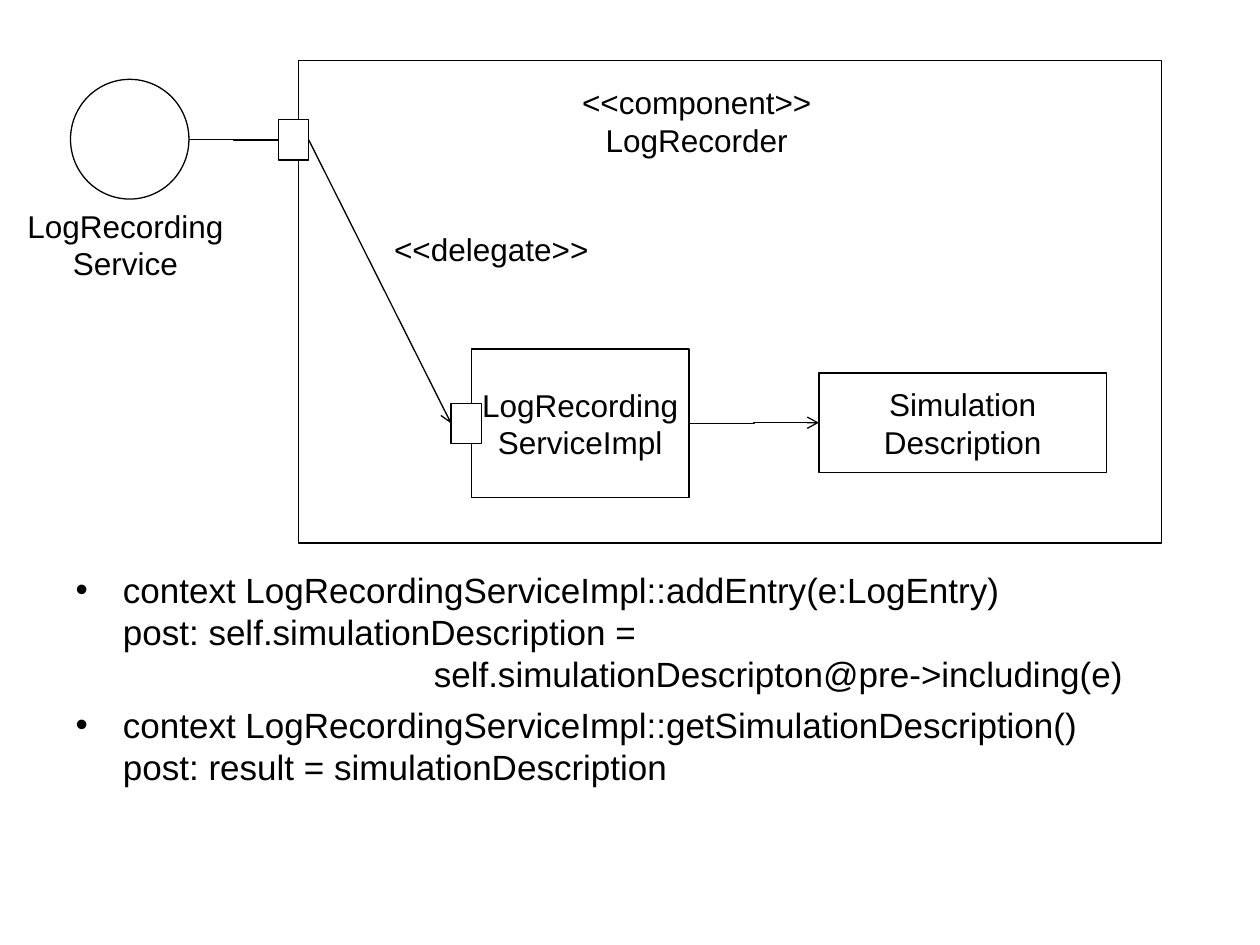
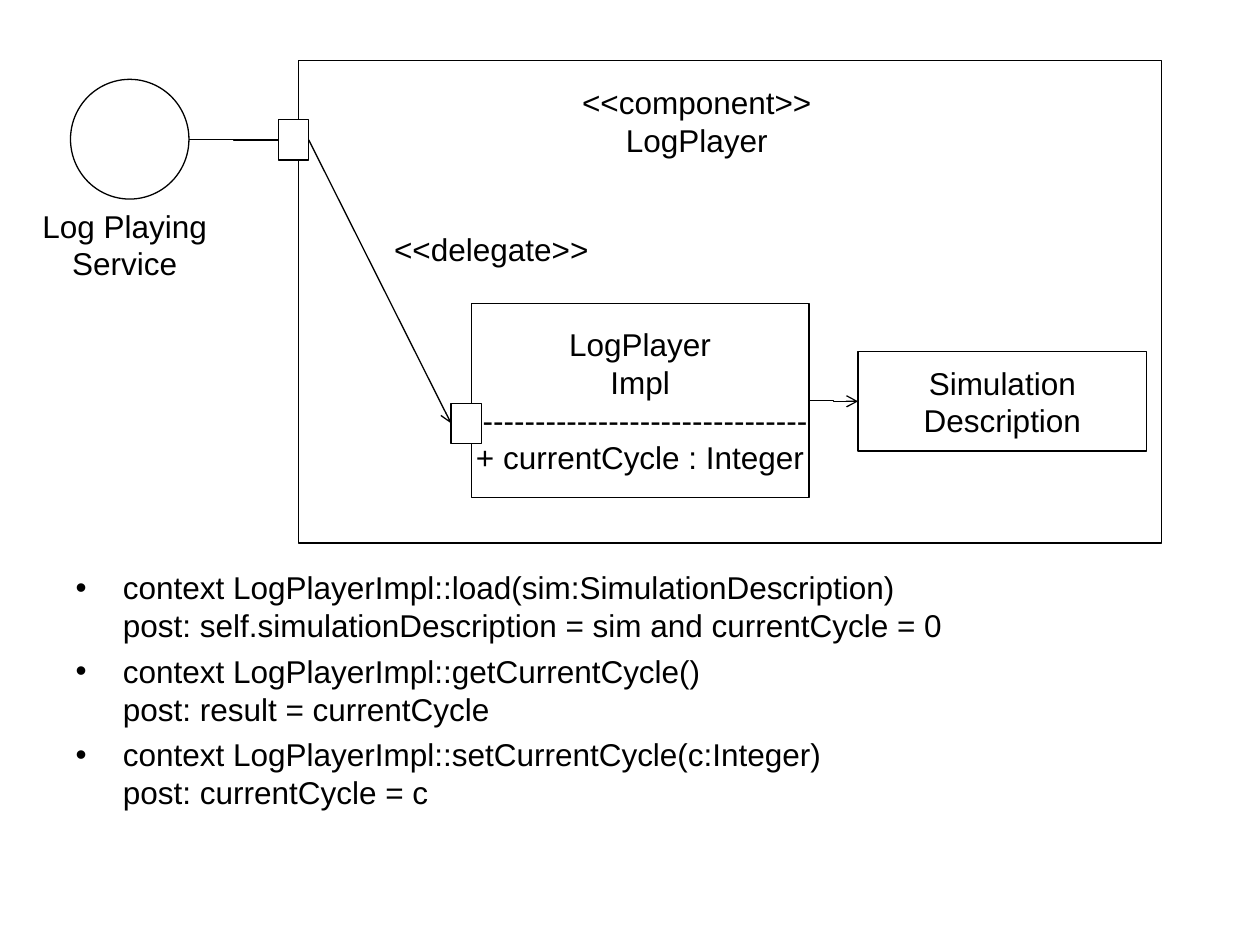
from copy import deepcopy
from dataclasses import dataclass

from lxml import etree
from pptx import Presentation
from pptx.dml.color import RGBColor
from pptx.enum.shapes import MSO_CONNECTOR, MSO_SHAPE
from pptx.enum.text import MSO_ANCHOR, MSO_AUTO_SIZE, PP_ALIGN
from pptx.oxml.ns import qn
from pptx.util import Inches, Pt

RECTANGLE, OVAL = MSO_SHAPE.RECTANGLE, MSO_SHAPE.OVAL
STRAIGHT, ELBOW = MSO_CONNECTOR.STRAIGHT, MSO_CONNECTOR.ELBOW
CENTER, LEFT = PP_ALIGN.CENTER, PP_ALIGN.LEFT
TOP, MIDDLE = MSO_ANCHOR.TOP, MSO_ANCHOR.MIDDLE
NO_AUTOFIT = MSO_AUTO_SIZE.NONE

FONT = "Arial"
BLACK, WHITE = "000000", "FFFFFF"
LABEL_SIZE = 18
LINE_WIDTH = 0.75


@dataclass(frozen=True)
class Area:
    """A rectangle on the slide, in inches."""
    left: float
    top: float
    width: float
    height: float

    def lengths(self) -> tuple:
        return tuple(Inches(n) for n in (self.left, self.top, self.width, self.height))

    def left_middle(self) -> tuple:
        return self.left, self.top + self.height / 2

    def right_middle(self) -> tuple:
        return self.left + self.width, self.top + self.height / 2


@dataclass(frozen=True)
class ComponentSlide:
    """What differs between the component diagrams."""
    component: str
    service: str
    service_label: Area
    implementation: str
    implementation_area: Area
    description_area: Area
    constraints: tuple
    constraint_size: int


FRAME = Area(2.37, 0.48, 6.85, 3.83)
SERVICE_CIRCLE = Area(0.56, 0.63, 0.94, 0.95)
OUTER_PORT = Area(2.21, 0.95, 0.24, 0.32)
INNER_PORT = Area(3.58, 3.2, 0.24, 0.32)
COMPONENT_LABEL = Area(3.03, 0.61, 5, 0.7)
DELEGATE_LABEL = Area(3.03, 1.78, 1.74, 0.4)
CONSTRAINT_LIST = Area(0.5, 4.46, 9, 2.24)

SLIDES = (
    ComponentSlide(
        component="LogRecorder",
        service="LogRecording\nService",
        service_label=Area(0.12, 1.59, 1.75, 0.7),
        implementation="LogRecording\nServiceImpl",
        implementation_area=Area(3.74, 2.77, 1.73, 1.18),
        description_area=Area(6.5, 2.96, 2.28, 0.79),
        constraints=(
            "context LogRecordingServiceImpl::addEntry(e:LogEntry)\n"
            "post: self.simulationDescription =\n"
            "                                self.simulationDescripton@pre->including(e)",
            "context LogRecordingServiceImpl::getSimulationDescription()\n"
            "post: result = simulationDescription",
        ),
        constraint_size=20,
    ),
    ComponentSlide(
        component="LogPlayer",
        service="Log Playing\nService",
        service_label=Area(0.24, 1.59, 1.5, 0.7),
        implementation="LogPlayer\nImpl\n--------------------------------\n"
                       "+ currentCycle : Integer",
        implementation_area=Area(3.74, 2.41, 2.68, 1.54),
        description_area=Area(6.81, 2.79, 2.29, 0.79),
        constraints=(
            "context LogPlayerImpl::load(sim:SimulationDescription)\n"
            "post: self.simulationDescription = sim and currentCycle = 0",
            "context LogPlayerImpl::getCurrentCycle()\npost: result = currentCycle",
            "context LogPlayerImpl::setCurrentCycle(c:Integer)\npost: currentCycle = c",
        ),
        constraint_size=18,
    ),
)


def color(value: str) -> RGBColor:
    return RGBColor.from_string(value)


def write(frame, paragraphs, *, size=LABEL_SIZE, align=CENTER, anchor=TOP,
          wrap=False, gap=0.0) -> None:
    """Fill a text frame; a newline inside a paragraph is a line break."""
    frame.word_wrap = wrap
    frame.auto_size = NO_AUTOFIT
    frame.vertical_anchor = anchor
    for index, text in enumerate(paragraphs):
        para = frame.add_paragraph() if index else frame.paragraphs[0]
        para.text = text
        para.alignment = align
        para.space_before = Pt(gap if index else 0)
        for span in para.runs:
            span.font.name = FONT
            span.font.size = Pt(size)
            span.font.color.rgb = color(BLACK)
        # Line breaks need the run format too, or they take the inherited size.
        run_format = para.runs[0].font._element
        for line_break in para._p.findall(qn("a:br")):
            line_break.insert(0, deepcopy(run_format))


def add_box(slide, area: Area, text: str = "", kind=RECTANGLE) -> None:
    box = slide.shapes.add_shape(kind, *area.lengths())
    box.shadow.inherit = False
    box.fill.solid()
    box.fill.fore_color.rgb = color(WHITE)
    box.line.color.rgb = color(BLACK)
    box.line.width = Pt(LINE_WIDTH)
    if text:
        write(box.text_frame, text.split("\n"), anchor=MIDDLE)


def add_label(slide, area: Area, text: str, wrap: bool = False) -> None:
    label = slide.shapes.add_textbox(*area.lengths())
    write(label.text_frame, text.split("\n"), wrap=wrap)


def add_link(slide, source: Area, target: Area, kind=ELBOW, arrow: bool = True) -> None:
    """Join the right side of one area to the left side of another."""
    ends = (*source.right_middle(), *target.left_middle())
    link = slide.shapes.add_connector(kind, *(Inches(n) for n in ends))
    link.line.color.rgb = color(BLACK)
    link.line.width = Pt(LINE_WIDTH)
    if arrow:
        etree.SubElement(link.line._get_or_add_ln(), qn("a:tailEnd"), type="arrow")
    etree.SubElement(link._element.spPr, qn("a:effectLst"))


def add_constraints(slide, content: ComponentSlide) -> None:
    body = slide.placeholders[1]
    body.left, body.top, body.width, body.height = CONSTRAINT_LIST.lengths()
    write(body.text_frame, content.constraints, size=content.constraint_size,
          align=LEFT, wrap=True, gap=content.constraint_size / 4)


def add_component_slide(deck, content: ComponentSlide) -> None:
    slide = deck.slides.add_slide(deck.slide_layouts[1])
    title = slide.shapes.title._element
    title.getparent().remove(title)

    add_box(slide, FRAME)
    add_box(slide, SERVICE_CIRCLE, kind=OVAL)
    add_link(slide, SERVICE_CIRCLE, OUTER_PORT, arrow=False)
    add_label(slide, content.service_label, content.service)
    add_box(slide, OUTER_PORT)
    add_label(slide, COMPONENT_LABEL, f"<<component>>\n{content.component}", wrap=True)
    add_box(slide, content.implementation_area, content.implementation)
    add_box(slide, content.description_area, "Simulation\nDescription")
    add_link(slide, content.implementation_area, content.description_area)
    add_box(slide, INNER_PORT)
    add_link(slide, OUTER_PORT, INNER_PORT, kind=STRAIGHT)
    add_label(slide, DELEGATE_LABEL, "<<delegate>>")
    add_constraints(slide, content)


def main() -> None:
    deck = Presentation()
    deck.slide_width, deck.slide_height = Inches(10), Inches(7.5)
    for content in SLIDES:
        add_component_slide(deck, content)
    deck.save("out.pptx")


if __name__ == "__main__":
    main()
